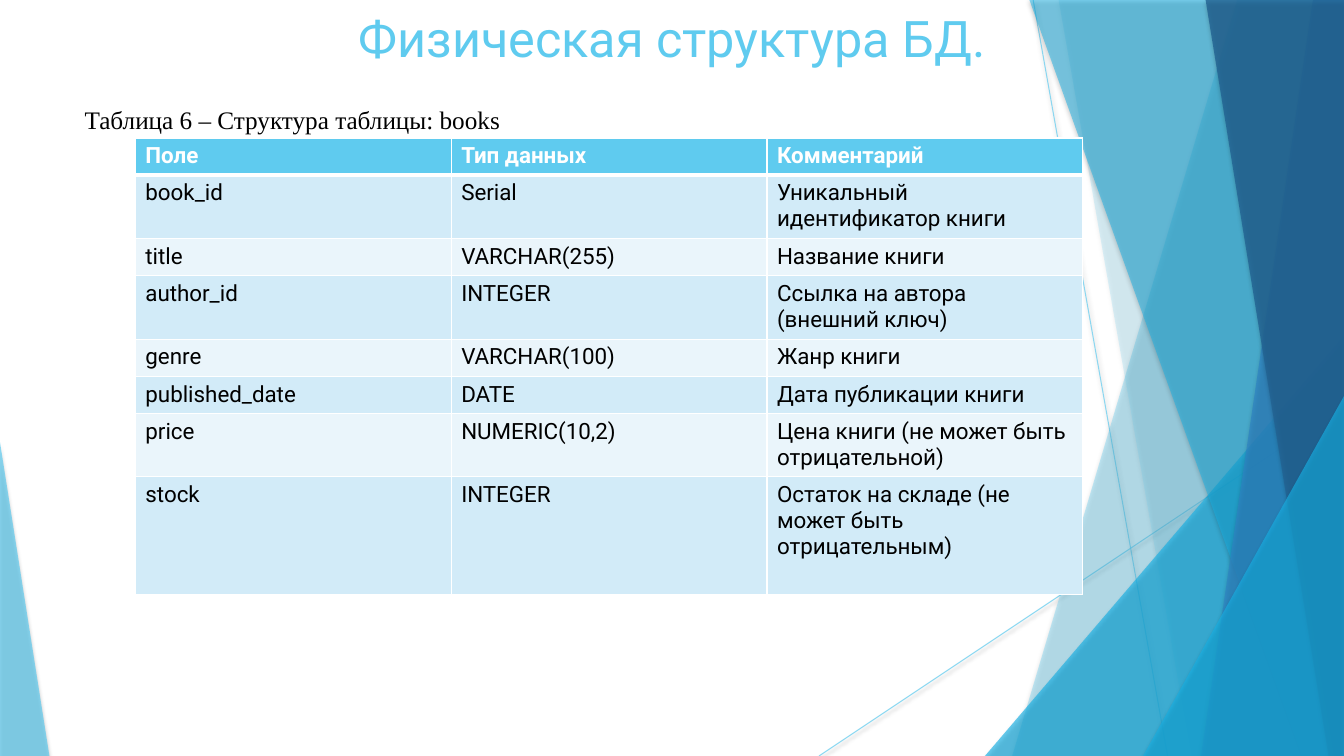
import pptx
import pptx.util
import pptx.dml.color
import pptx.enum.shapes
import pptx.enum.text
import pptx.oxml

Pt = pptx.util.Pt
RGB = pptx.dml.color.RGBColor.from_string
NS = 'xmlns:a="http://schemas.openxmlformats.org/drawingml/2006/main"'
HUES = {"sky": "5FCBEF", "cyan": "17B0E4", "blue": "2E83C3", "navy": "226292",
        "pale": "D2EBF8", "mist": "EAF5FB", "white": "FFFFFF", "black": "000000"}


def glaze(shape, alpha, blur, dist, shade):
    """Make the shape's colour see-through and give it a soft shadow below."""
    props = shape._element.spPr
    for clr in props.iter("{*}srgbClr"):
        clr.append(pptx.oxml.parse_xml(f'<a:alpha {NS} val="{alpha * 1000}"/>'))
    for old in props.findall("{*}effectLst"):
        props.remove(old)
    props.append(pptx.oxml.parse_xml(
        f'<a:effectLst {NS}><a:outerShdw blurRad="{Pt(blur)}" dist="{Pt(dist)}" '
        f'dir="5400000" algn="ctr" rotWithShape="0"><a:srgbClr val="{HUES["black"]}">'
        f'<a:alpha val="{shade * 1000}"/></a:srgbClr></a:outerShdw></a:effectLst>'))


def write(frame, text, **form):
    """Fill a text frame with one run and format its font."""
    frame.word_wrap = True
    run = frame.paragraphs[0].add_run()
    run.text = text
    run.font.color.rgb = RGB(HUES[form.pop("hue")])
    for key, val in form.items():
        setattr(run.font, key, val)


deck = pptx.Presentation()
WIDE, HIGH = 960, 540
deck.slide_width, deck.slide_height = Pt(WIDE), Pt(HIGH)
slide = deck.slides.add_slide(deck.slide_layouts[5])
shapes = slide.shapes

# Thin crossing lines
for ends in [(738, 0, 834, HIGH), (WIDE, 290, 585, HIGH)]:
    line = shapes.add_connector(pptx.enum.shapes.MSO_CONNECTOR.STRAIGHT, *map(Pt, ends))
    line.line.color.rgb = RGB(HUES["sky"])
    line.line.width = Pt(0.75)
    glaze(line, 70, 3.1, 1.6, 38)

# Facets: bands give the left edge's x at top and bottom,
# triangles give left, top, width and the place of the tip
facets = [((884, 723), "sky", 36),
          ((756, 851), "sky", 20),
          ((703.5, 240, 256.5, 1), "cyan", 66),
          ((735, 929.5), "cyan", 50),
          ((938, 858), "blue", 70),
          ((861, 949), "navy", 80),
          ((816.5, 283, 143.5, 1), "cyan", 66),
          ((0, 316, 35.3, 0), "sky", 70)]
for place, hue, alpha in facets:
    if len(place) == 2:
        head, foot = place
        path = shapes.build_freeform(head, -0.6, scale=Pt(1))
        path.add_line_segments([(WIDE, -0.6), (WIDE, HIGH), (foot, HIGH)], close=True)
        facet = path.convert_to_shape()
    else:
        left, top, width, tip = place
        facet = shapes.add_shape(pptx.enum.shapes.MSO_SHAPE.ISOSCELES_TRIANGLE,
                                 Pt(left), Pt(top), Pt(width), Pt(HIGH - top))
        facet.adjustments[0] = tip
    facet.fill.solid()
    facet.fill.fore_color.rgb = RGB(HUES[hue])
    facet.line.fill.background()
    glaze(facet, alpha, 3, 2, 35)

# Title, brought in front of the facets
title = shapes.title
for key, val in {"left": 141.8, "top": 1.4, "width": 676.8, "height": 103.7}.items():
    setattr(title, key, Pt(val))
frame = title.text_frame
frame.auto_size = pptx.enum.text.MSO_AUTO_SIZE.NONE
frame.vertical_anchor = pptx.enum.text.MSO_ANCHOR.TOP
write(frame, "Физическая структура БД.", name="Roboto", size=Pt(36), hue="sky")
frame.paragraphs[0].alignment = pptx.enum.text.PP_ALIGN.CENTER
shapes._spTree.append(title._element)

# Table of fields
rows = [("Поле", "Тип данных", "Комментарий"),
        ("book_id", "Serial", "Уникальный идентификатор книги"),
        ("title", "VARCHAR(255)", "Название книги"),
        ("author_id", "INTEGER", "Ссылка на автора (внешний ключ)"),
        ("genre", "VARCHAR(100)", "Жанр книги"),
        ("published_date", "DATE", "Дата публикации книги"),
        ("price", "NUMERIC(10,2)", "Цена книги (не может быть отрицательной)"),
        ("stock", "INTEGER", "Остаток на складе (не может быть отрицательным)")]
tall = [26.5, 45.4, 26.5, 45.4, 26.5, 26.5, 45.4, 84.3]
table = shapes.add_table(len(rows), 3, Pt(96.7), Pt(98.6), Pt(676.8), Pt(sum(tall))).table
for col in table.columns:
    col.width = Pt(225.6)
for r, row in enumerate(rows):
    table.rows[r].height = Pt(tall[r])
    for c, text in enumerate(row):
        cell = table.cell(r, c)
        props = cell._tc.get_or_add_tcPr()
        for side in "LRTB":
            thick = 3 if (r, side) in [(0, "B"), (1, "T")] else 0.96
            props.append(pptx.oxml.parse_xml(
                f'<a:ln{side} {NS} w="{Pt(thick)}"><a:solidFill>'
                f'<a:srgbClr val="{HUES["white"]}"/></a:solidFill></a:ln{side}>'))
        cell.fill.solid()
        fill = "sky" if r == 0 else "pale" if r % 2 else "mist"
        cell.fill.fore_color.rgb = RGB(HUES[fill])
        write(cell.text_frame, text, name="Roboto", size=Pt(16), bold=r == 0,
              hue="black" if r else "white")

# Caption above the table
note = shapes.add_textbox(Pt(53.3), Pt(71.3), Pt(480), Pt(28.8))
write(note.text_frame, "Таблица 6 – Структура таблицы: books",
      name="Times New Roman", size=Pt(18), hue="black")

deck.save("out.pptx")
